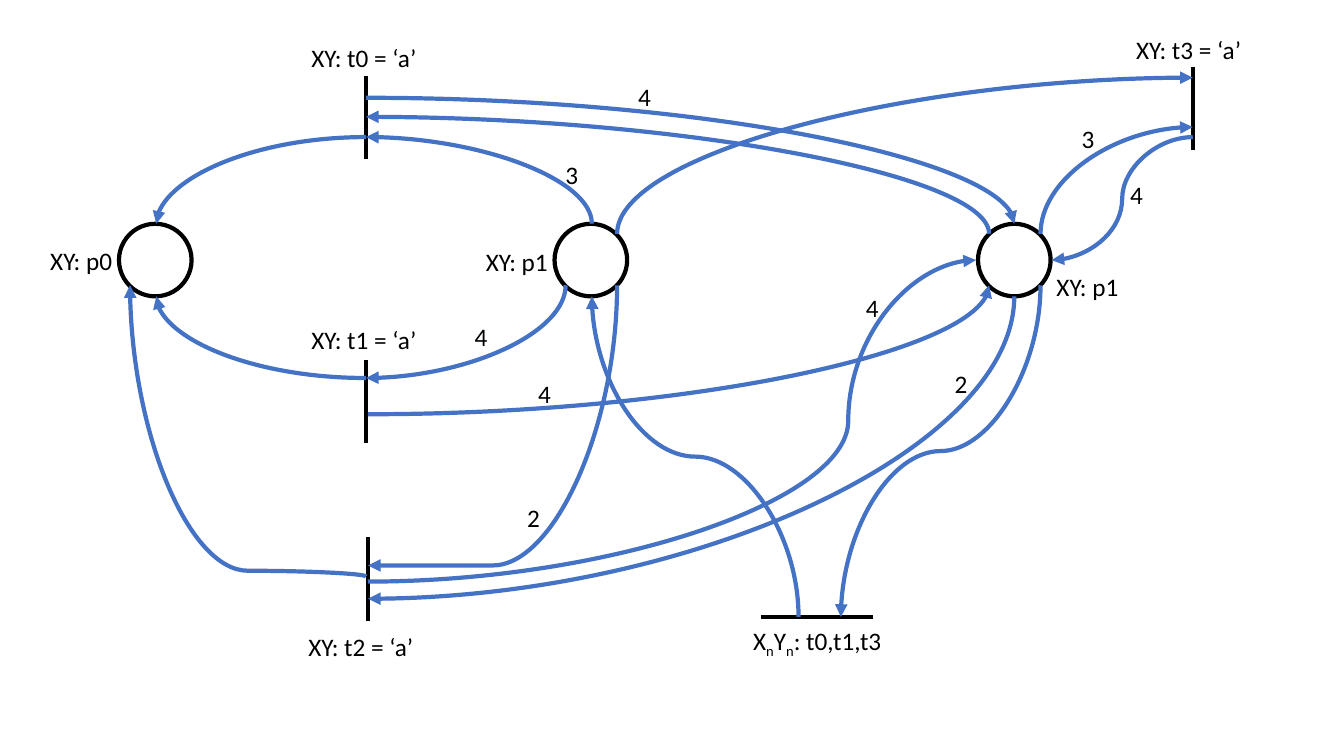
"""Draw a coloured Petri net with places, transitions and weighted arcs."""
from typing import NamedTuple, Optional

from lxml import etree
from pptx import Presentation, util as u
from pptx.dml import color
from pptx.enum import shapes, text
from pptx.oxml import ns

BLACK, BLUE = "000000", "4472C4"
DIAMETER = 0.72
BAR_LENGTH = 0.83
LABEL_HEIGHT = 0.4
LABEL_FRAME = {
    "word_wrap": True,
    "auto_size": text.MSO_AUTO_SIZE.SHAPE_TO_FIT_TEXT,
}
LABEL_FONT = {"name": "Calibri", "size": u.Pt(18)}


class Place(NamedTuple):
    left: float
    top: float


class Transition(NamedTuple):
    x: float
    y: float
    width: float = 0
    height: float = BAR_LENGTH


class Arc(NamedTuple):
    x1: float
    y1: float
    x2: float
    y2: float
    leaves: str
    bend: Optional[float] = None


class Label(NamedTuple):
    left: float
    top: float
    width: float
    wording: str


PLACES = [Place(left, 2.22) for left in (1.18, 5.5, 9.7)]

TRANSITIONS = [
    Transition(3.63, 0.75),
    Transition(3.63, 3.57),
    Transition(11.83, 0.66),
    Transition(3.65, 5.33),
    Transition(7.55, 6.12, 1.11, 0),
]

ARCS = [
    Arc(3.63, 1.36, 1.55, 2.22, "h"),
    Arc(3.63, 0.97, 10.06, 2.22, "h"),
    Arc(5.87, 2.22, 3.63, 1.36, "v"),
    Arc(9.81, 2.32, 3.63, 1.16, "v"),
    Arc(3.63, 3.75, 1.55, 2.94, "h"),
    Arc(5.61, 2.83, 3.63, 3.75, "v"),
    Arc(3.65, 4.11, 9.81, 2.83, "h"),
    Arc(11.83, 1.36, 10.43, 2.58, "h", 0.5),
    Arc(10.32, 2.32, 11.83, 1.26, "v"),
    Arc(6.12, 2.32, 11.83, 0.77, "v"),
    Arc(10.06, 2.94, 3.65, 5.94, "v"),
    Arc(3.65, 5.77, 9.68, 2.58, "h", 0.79),
    Arc(6.12, 2.83, 3.65, 5.61, "v", 1),
    Arc(7.92, 6.12, 5.87, 2.94, "v", 0.5),
    Arc(10.32, 2.83, 8.34, 6.12, "v", 0.5),
    Arc(3.63, 5.72, 1.29, 2.83, "v", 0.02),
]

LABELS = [
    Label(0.4, 2.38, 0.94, "XY: p0"),
    Label(4.72, 2.39, 0.94, "XY: p1"),
    Label(10.38, 2.64, 0.94, "XY: p1"),
    Label(2.99, 3.17, 1.34, "XY: t1 = ‘a’"),
    Label(2.99, 0.37, 1.34, "XY: t0 = ‘a’"),
    Label(11.17, 0.29, 1.34, "XY: t3 = ‘a’"),
    Label(2.96, 6.21, 1.34, "XY: t2 = ‘a’"),
    Label(7.37, 6.15, 1.61, "X|n|Y|n|: t0,t1,t3"),
]

WEIGHTS = [
    Label(left, top, 0.33, weight)
    for left, top, weight in (
        (6.23, 0.76, "4"),
        (5.51, 1.53, "3"),
        (4.61, 3.14, "4"),
        (5.24, 3.7, "4"),
        (5.13, 4.93, "2"),
        (9.37, 3.6, "2"),
        (10.63, 1.17, "3"),
        (11.11, 1.73, "4"),
        (8.49, 2.85, "4"),
    )
]


def rgb(value: str) -> color.RGBColor:
    return color.RGBColor.from_string(value)


def style_line(item, value: str) -> None:
    item.line.color.rgb = rgb(value)
    item.line.width = u.Pt(3)


def draw_place(slide, place: Place) -> None:
    circle = slide.shapes.add_shape(
        shapes.MSO_SHAPE.OVAL,
        *map(u.Inches, (place.left, place.top, DIAMETER, DIAMETER)),
    )
    circle.shadow.inherit = False
    circle.fill.background()
    style_line(circle, BLACK)


def connect(slide, kind, ends: tuple, value: str):
    link = slide.shapes.add_connector(kind, *map(u.Inches, ends))
    style_line(link, value)
    etree.SubElement(link._element.spPr, ns.qn("a:effectLst"))
    return link


def draw_transition(slide, bar: Transition) -> None:
    ends = (bar.x, bar.y, bar.x + bar.width, bar.y + bar.height)
    connect(slide, shapes.MSO_CONNECTOR.STRAIGHT, ends, BLACK)


def draw_arc(slide, arc: Arc) -> None:
    dx, dy = arc.x2 - arc.x1, arc.y2 - arc.y1
    same_sign = (dx < 0) == (dy < 0)
    if arc.leaves == "h":
        width, height = abs(dx), abs(dy)
        angle, flipped = (180 if dx < 0 else 0), not same_sign
    else:
        width, height = abs(dy), abs(dx)
        angle, flipped = (270 if dy < 0 else 90), same_sign
    left = (arc.x1 + arc.x2 - width) / 2
    top = (arc.y1 + arc.y2 - height) / 2
    start, end = (top + height, top) if flipped else (top, top + height)
    ends = (left, start, left + width, end)
    link = connect(slide, shapes.MSO_CONNECTOR.CURVE, ends, BLUE)

    properties = link._element.spPr
    properties.find(ns.qn("a:xfrm")).set("rot", str(angle * 60000))
    geometry = properties.find(ns.qn("a:prstGeom"))
    if arc.bend is None:
        geometry.set("prst", "curvedConnector2")
    else:
        guide = etree.SubElement(geometry.find(ns.qn("a:avLst")), ns.qn("a:gd"))
        guide.set("name", "adj1")
        guide.set("fmla", f"val {round(arc.bend * 100000)}")
    arrow = etree.SubElement(properties.find(ns.qn("a:ln")), ns.qn("a:tailEnd"))
    arrow.set("type", "triangle")


def draw_label(slide, label: Label) -> None:
    box = slide.shapes.add_textbox(
        *map(u.Inches, (label.left, label.top, label.width, LABEL_HEIGHT))
    )
    for key, value in LABEL_FRAME.items():
        setattr(box.text_frame, key, value)
    for index, part in enumerate(label.wording.split("|")):
        run = box.text_frame.paragraphs[0].add_run()
        run.text = part
        for key, value in LABEL_FONT.items():
            setattr(run.font, key, value)
        run.font.color.rgb = rgb(BLACK)
        if index % 2:
            run._r.get_or_add_rPr().set("baseline", "-25000")


def main() -> None:
    deck = Presentation()
    deck.slide_width, deck.slide_height = u.Inches(13.33), u.Inches(7.5)
    slide = deck.slides.add_slide(deck.slide_layouts[6])
    for place in PLACES:
        draw_place(slide, place)
    for bar in TRANSITIONS:
        draw_transition(slide, bar)
    for arc in ARCS:
        draw_arc(slide, arc)
    for label in LABELS + WEIGHTS:
        draw_label(slide, label)
    deck.save("out.pptx")


if __name__ == "__main__":
    main()
